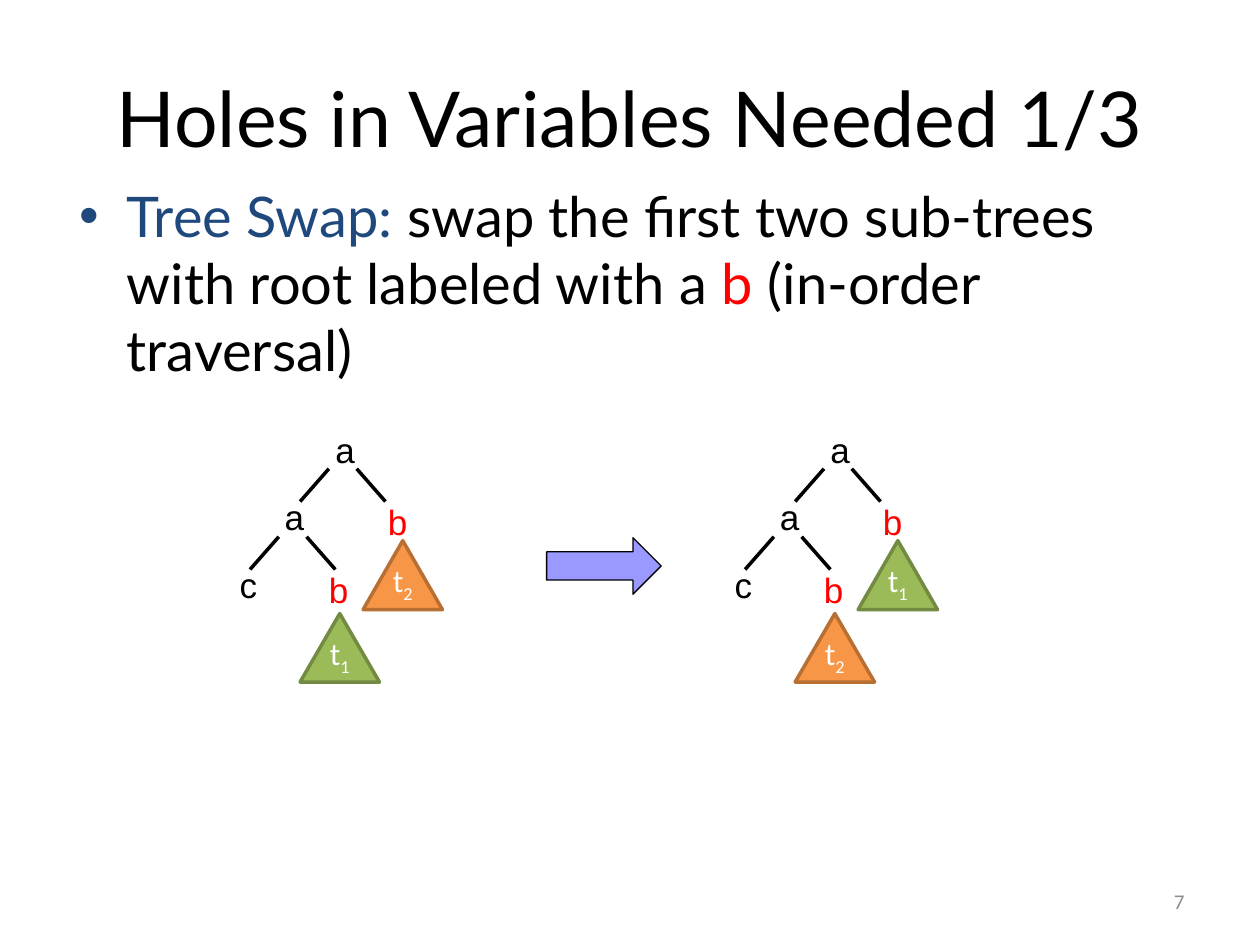
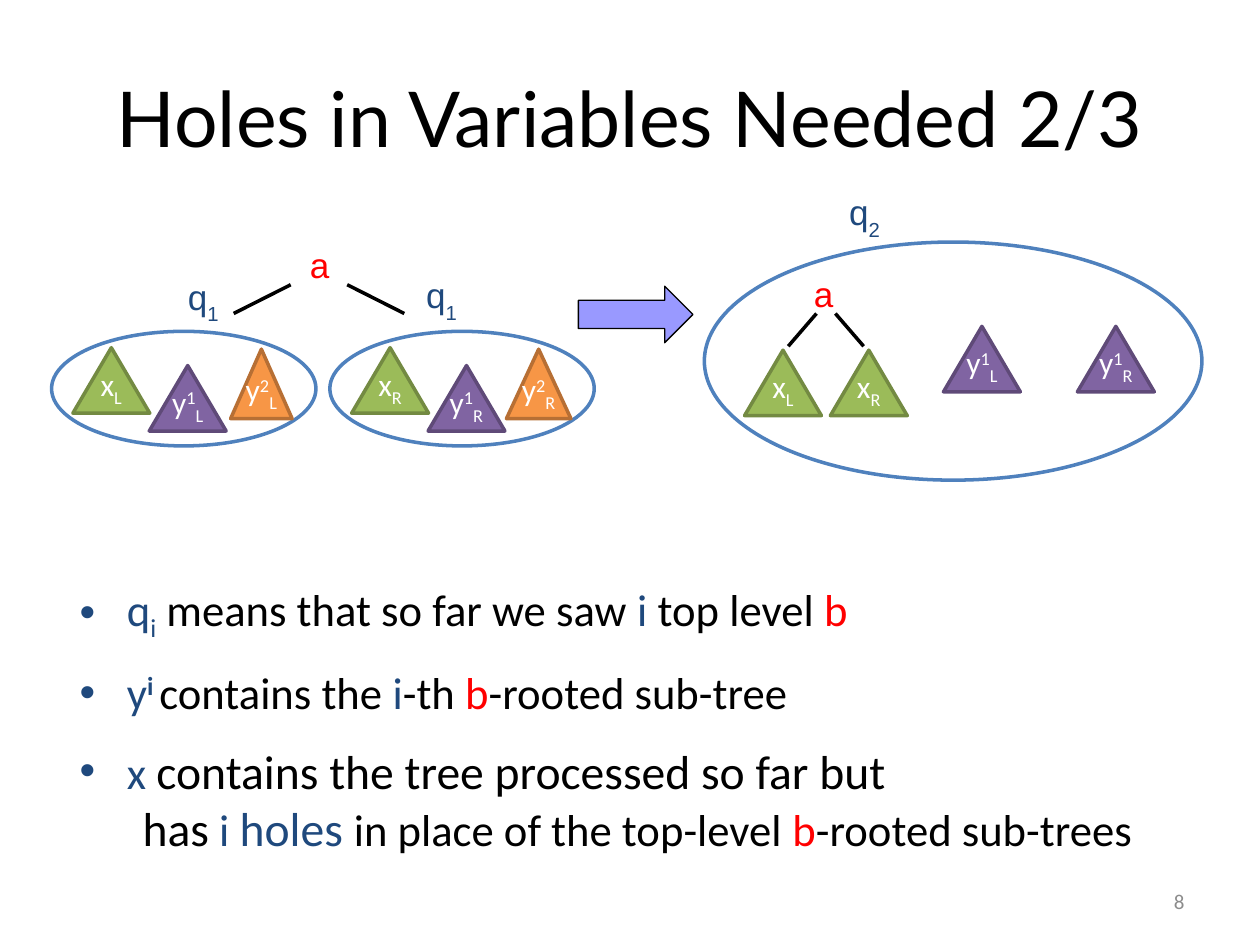
from lxml.etree import SubElement
from pptx import Presentation
from pptx.dml.color import RGBColor
from pptx.enum.shapes import MSO_CONNECTOR, MSO_SHAPE
from pptx.enum.text import MSO_ANCHOR, MSO_AUTO_SIZE, PP_ALIGN
from pptx.oxml.ns import qn
from pptx.util import Cm, Pt

BLACK = RGBColor(0x00, 0x00, 0x00)
WHITE = RGBColor(0xFF, 0xFF, 0xFF)
RED = RGBColor(0xFF, 0x00, 0x00)
NAVY = RGBColor(0x1F, 0x49, 0x7D)
GREY = RGBColor(0x8C, 0x8C, 0x8C)
LAVENDER = RGBColor(0x99, 0x99, 0xFF)
OVAL_BLUE = RGBColor(0x4F, 0x81, 0xBD)
# Triangle colours: fill and outline
GREEN = RGBColor(0x9B, 0xBB, 0x59), RGBColor(0x73, 0x8A, 0x42)
ORANGE = RGBColor(0xF7, 0x96, 0x46), RGBColor(0xB7, 0x6F, 0x34)
PURPLE = RGBColor(0x80, 0x64, 0xA2), RGBColor(0x5F, 0x4A, 0x78)

SUB, SUPER = -25, 30
LARGE = 27.2


def write_runs(paragraph, runs, font_name, font_size):
    """Each run is (text, colour[, baseline percent[, size[, bold]]])."""
    for text, colour, *extras in runs:
        baseline, size, bold = (extras + [0, font_size, False][len(extras):])
        run = paragraph.add_run()
        run.text = text
        run.font.name = font_name
        run.font.size = Pt(size)
        run.font.bold = bold
        run.font.color.rgb = colour
        if baseline:
            run.font._element.set("baseline", str(baseline * 1000))


def add_figure(slide, kind, box, fill, outline, width):
    shape = slide.shapes.add_shape(kind, *[Cm(length) for length in box])
    shape.shadow.inherit = False
    if fill is None:
        shape.fill.background()
    else:
        shape.fill.solid()
        shape.fill.fore_color.rgb = fill
    shape.line.color.rgb = outline
    shape.line.width = Pt(width)
    return shape


# Labels: left, top, runs
# Branches: centre, top, inner half width, outer half width, drop
# Triangles: left, top, width, height, colours, runs
T1 = [("t", WHITE), ("1", WHITE, SUB)]
T2 = [("t", WHITE), ("2", WHITE, SUB)]
swap_labels, swap_branches, swap_triangles = [], [], []
for shift, upper, lower in ((0, (ORANGE, T2), (GREEN, T1)),
                            (9.98, (GREEN, T1), (ORANGE, T2))):
    for left, top, letter, colour in ((6.53, 8.53, "a", BLACK), (5.51, 9.88, "a", BLACK),
                                      (7.59, 9.98, "b", RED), (4.6, 11.25, "c", BLACK),
                                      (6.4, 11.35, "b", RED)):
        swap_labels.append((left + shift, top, [(letter, colour)]))
    for centre, top in ((6.91, 9.45), (5.9, 10.82)):
        swap_branches.append((centre + shift, top, 0.28, 0.86, 0.66))
    swap_triangles.append((7.32 + shift, 10.9, 1.6, 1.39, *upper))
    swap_triangles.append((6.05 + shift, 12.37, 1.6, 1.38, *lower))

# Variables x, y1 and y2 for the left and right sub-tree
X = {side: [("x", WHITE), (side, WHITE, SUB)] for side in "LR"}
Y1, Y2 = [{side: [("y", WHITE), (number, WHITE, SUPER), (side, WHITE, SUB)] for side in "LR"}
          for number in "12"]
hole_triangles = []
for side, left, y2_left, y2_width, result_x, result_y in (
        ("L", 1.47, 4.65, 1.24, 15.01, 19.02), ("R", 7.09, 10.21, 1.3, 16.74, 21.72)):
    hole_triangles += [
        (left, 7.01, 1.55, 1.32, GREEN, X[side]),
        (left + 1.54, 7.37, 1.55, 1.32, PURPLE, Y1[side]),
        (y2_left, 7.04, y2_width, 1.4, ORANGE, Y2[side]),
        (result_x, 7.06, 1.55, 1.32, GREEN, X[side]),
        (result_y, 6.58, 1.55, 1.32, PURPLE, Y1[side]),
    ]

slides = [
    dict(number="7", title="Holes in Variables Needed 1/3",
         body=(1.35, 3.53, 22.86, 13.97), font="Lato", size=32,
         bullets=[[("Tree Swap: ", NAVY),
                   ("swap the first two sub-trees with root labeled with a ", BLACK),
                   ("b ", RED), ("(in-order traversal)", BLACK)]],
         continuation=None, ovals=[], arrow=(11.02, 10.84),
         labels=swap_labels, branches=swap_branches, triangles=swap_triangles),
    dict(number="8", title="Holes in Variables Needed 2/3",
         body=(1.35, 11.6, 22.86, 6), font="Calibri", size=25.5,
         bullets=[[("q", NAVY), ("i", NAVY, SUB), (" means that so far we saw ", BLACK),
                   ("i", NAVY), (" top level ", BLACK), ("b", RED)],
                  [("y", NAVY), ("i ", NAVY, 33, 25.5, True), ("contains the ", BLACK),
                   ("i", NAVY), ("-th ", BLACK), ("b", RED), ("-rooted sub-tree", BLACK)],
                  [("x ", NAVY), ("contains the tree processed so far but", BLACK, 0, LARGE)]],
         continuation=[("has", BLACK, 0, LARGE), (" ", BLACK), ("i ", NAVY),
                       ("holes ", NAVY, 0, LARGE), ("in place of the top-level ", BLACK),
                       ("b", RED), ("-rooted sub-trees", BLACK)],
         ovals=[(1.04, 6.68, 5.33, 2.31), (6.65, 6.68, 5.33, 2.31), (14.2, 4.88, 10.03, 4.8)],
         arrow=(11.66, 5.77),
         labels=[(6.02, 4.8, [("a", RED)]), (16.18, 5.38, [("a", RED)]),
                 (3.56, 5.44, [("q", NAVY), ("1", NAVY, -33)]),
                 (8.36, 5.41, [("q", NAVY), ("1", NAVY, -33)]),
                 (16.89, 3.73, [("q", NAVY), ("2", NAVY, -33)])],
         branches=[(6.43, 5.74, 0.57, 1.72, 0.58), (16.65, 6.32, 0.19, 0.76, 0.66)],
         triangles=hole_triangles),
]

presentation = Presentation()
presentation.slide_width, presentation.slide_height = Cm(25.4), Cm(19.05)

for content in slides:
    slide = presentation.slides.add_slide(presentation.slide_layouts[1])

    # Title
    title = slide.shapes.title
    title.left, title.top, title.width, title.height = Cm(1.27), Cm(0.76), Cm(22.86), Cm(3.18)
    title.text_frame.vertical_anchor = MSO_ANCHOR.MIDDLE
    paragraph = title.text_frame.paragraphs[0]
    paragraph.alignment = PP_ALIGN.CENTER
    write_runs(paragraph, [(content["title"], BLACK)], "Lato", 44)

    # Bullet list
    body = slide.placeholders[1]
    body.left, body.top, body.width, body.height = [Cm(length) for length in content["body"]]
    frame = body.text_frame
    frame.auto_size = MSO_AUTO_SIZE.NONE
    for index, runs in enumerate(content["bullets"]):
        paragraph = frame.add_paragraph() if index else frame.paragraphs[0]
        paragraph.space_before, paragraph.space_after = Pt(0), Pt(12.9)
        write_runs(paragraph, runs, content["font"], content["size"])
    if content["continuation"]:
        paragraph.space_after = Pt(0)
        paragraph = frame.add_paragraph()
        paragraph.space_before = Pt(0)
        properties = paragraph._p.get_or_add_pPr()
        properties.set("marL", str(Cm(1.27)))
        properties.set("indent", "0")
        SubElement(properties, qn("a:buNone"))
        write_runs(paragraph, content["continuation"], content["font"], content["size"])

    # Ovals and the transformation arrow
    for box in content["ovals"]:
        add_figure(slide, MSO_SHAPE.OVAL, box, None, OVAL_BLUE, 2)
    add_figure(slide, MSO_SHAPE.RIGHT_ARROW, (*content["arrow"], 2.31, 1.14), LAVENDER, BLACK, 0)

    # Tree branches
    for centre, top, inner, outer, drop in content["branches"]:
        for side in (-1, 1):
            branch = slide.shapes.add_connector(
                MSO_CONNECTOR.STRAIGHT, Cm(centre + side * inner), Cm(top),
                Cm(centre + side * outer), Cm(top + drop))
            branch.line.color.rgb = BLACK
            branch.line.width = Pt(0)
            SubElement(branch._element.spPr, qn("a:effectLst"))

    # Node labels
    for left, top, runs in content["labels"]:
        width = 0.84 if runs[0][0] == "a" else 1.22
        label = slide.shapes.add_textbox(Cm(left), Cm(top), Cm(width), Cm(1.09))
        frame = label.text_frame
        frame.word_wrap = True
        frame.margin_left = frame.margin_right = Cm(0.23)
        frame.margin_top = frame.margin_bottom = Cm(0.11)
        write_runs(frame.paragraphs[0], runs, "Arial", 20)

    # Sub-tree triangles
    for *box, (fill, outline), runs in content["triangles"]:
        triangle = add_figure(slide, MSO_SHAPE.ISOSCELES_TRIANGLE, box, fill, outline, 2)
        frame = triangle.text_frame
        frame.word_wrap = False
        frame.vertical_anchor = MSO_ANCHOR.BOTTOM
        frame.margin_left = frame.margin_right = Cm(0.23)
        frame.margin_top = frame.margin_bottom = Cm(0.11)
        frame.paragraphs[0].alignment = PP_ALIGN.CENTER
        write_runs(frame.paragraphs[0], runs, "Calibri", 18)

    # Slide number
    number = slide.shapes.add_textbox(Cm(18.21), Cm(17.65), Cm(5.92), Cm(1.02))
    number.text_frame.word_wrap = True
    number.text_frame.vertical_anchor = MSO_ANCHOR.MIDDLE
    paragraph = number.text_frame.paragraphs[0]
    paragraph.alignment = PP_ALIGN.RIGHT
    write_runs(paragraph, [(content["number"], GREY)], "Calibri", 12)

presentation.save("out.pptx")
